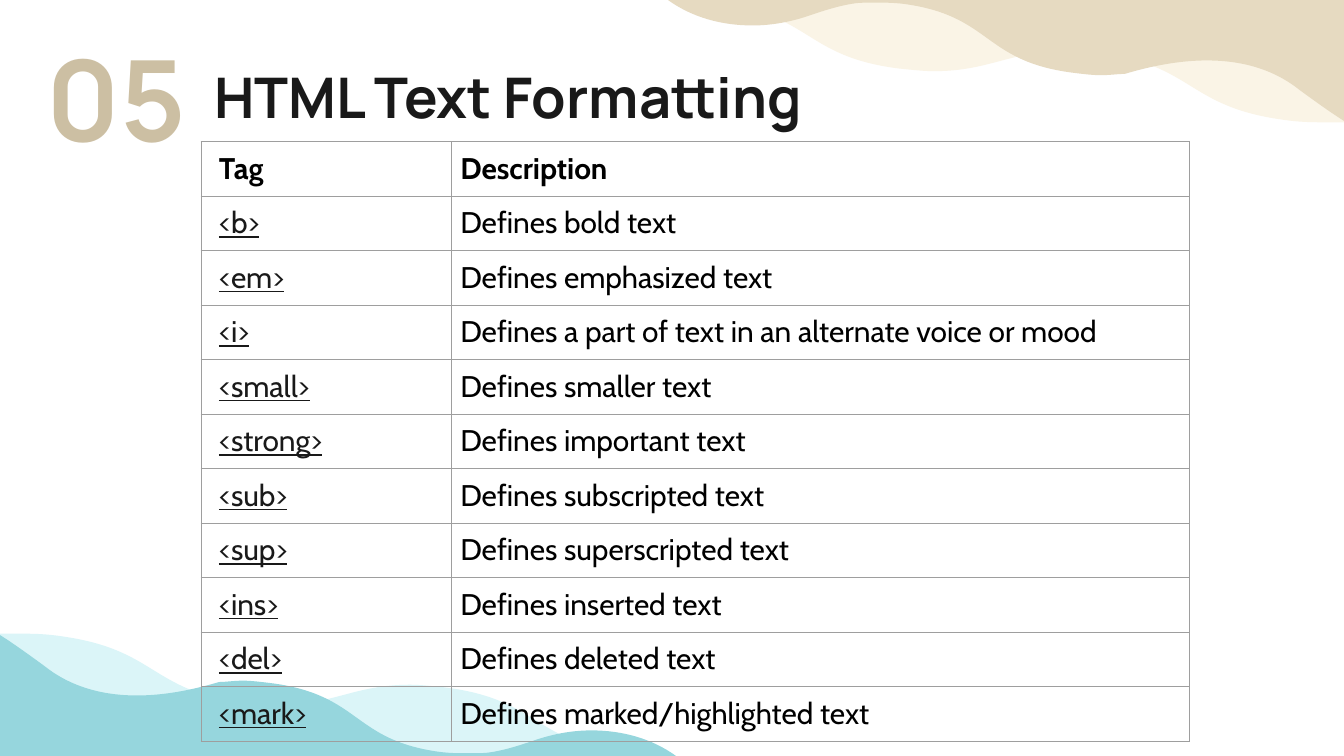
from lxml.etree import SubElement
from pptx import Presentation
from pptx.dml.color import RGBColor
from pptx.enum.text import MSO_ANCHOR, MSO_AUTO_SIZE, PP_ALIGN
from pptx.oxml.ns import qn
from pptx.util import Pt


def color(hex_string):
    return RGBColor.from_string(hex_string)


def write(text_frame, text, font_name, size, hex_string, bold=False, underline=False):
    paragraph = text_frame.paragraphs[0]
    run = paragraph.add_run()
    run.text = text
    run.font.name = font_name
    run.font.size = Pt(size)
    run.font.bold = bold
    run.font.underline = underline
    run.font.color.rgb = color(hex_string)
    return paragraph


WIDTH, HEIGHT = 720, 405
presentation = Presentation()
presentation.slide_width = Pt(WIDTH)
presentation.slide_height = Pt(HEIGHT)
slide = presentation.slides.add_slide(presentation.slide_layouts[5])
slide.background.fill.solid()
slide.background.fill.fore_color.rgb = color("FFFFFF")

back_wave = [
    (5.61, -0.9),
    (6.24, -0.79, 6.21, -0.51, 6.89, -0.42),
    (6.99, -0.4, 7.08, -0.4, 7.15, -0.4),
    (7.56, -0.4, 7.72, -0.55, 8.12, -0.55),
    (8.2, -0.55, 8.29, -0.55, 8.38, -0.54),
    (9.1, -0.44, 9.03, -0.13, 9.74, -0.04),
    (9.82, -0.03, 9.89, -0.03, 9.96, -0.03),
    (9.97, -0.03, 9.99, -0.03, 10, -0.03),
    (10, 0.91),
    (9.96, 0.91, 9.91, 0.91, 9.86, 0.91),
    (9.77, 0.91, 9.67, 0.91, 9.54, 0.89),
    (8.83, 0.79, 8.89, 0.49, 8.18, 0.39),
    (8.09, 0.38, 8, 0.38, 7.92, 0.38),
    (7.52, 0.38, 7.36, 0.53, 6.95, 0.53),
    (6.87, 0.53, 6.79, 0.52, 6.69, 0.51),
    (5.98, 0.42, 6.05, 0.11, 5.33, 0.02),
    (5.26, 0.01, 5.18, 0, 5.12, 0),
    (5.08, 0, 5.04, 0, 5, 0.01),
    (5, -0.9),
]
front_wave = [
    (10, 0),
    (10, 0.9),
    (9.89, 0.83, 9.78, 0.75, 9.67, 0.67),
    (9.47, 0.51, 9.23, 0.45, 8.98, 0.45),
    (8.78, 0.45, 8.57, 0.49, 8.37, 0.55),
    (8.32, 0.55, 8.26, 0.56, 8.19, 0.56),
    (8.13, 0.56, 8.05, 0.55, 7.97, 0.54),
    (7.31, 0.45, 7.38, 0.12, 6.73, 0.03),
    (6.65, 0.02, 6.58, 0.02, 6.51, 0.02),
    (6.44, 0.02, 6.38, 0.02, 6.33, 0.03),
    (6.22, 0.05, 6.13, 0.08, 6.04, 0.11),
    (5.9, 0.16, 5.75, 0.19, 5.6, 0.19),
    (5.37, 0.19, 5.15, 0.13, 4.97, 0),
]
waves = [
    (back_wave, "DBF5F8", True),
    (front_wave, "96D6DD", True),
    (back_wave, "FAF4E6", False),
    (front_wave, "E6DAC1", False),
]
for segments, fill_color, rotated in waves:
    points = [
        (segment[index] * 72, segment[index + 1] * 72)
        for segment in segments
        for index in range(0, len(segment), 2)
    ]
    if rotated:
        points = [(WIDTH - x, HEIGHT - y) for x, y in points]
    vertices = [(Pt(x), Pt(y)) for x, y in points]
    builder = slide.shapes.build_freeform(*vertices[0], scale=1.0)
    builder.add_line_segments(vertices[1:], close=True)
    wave = builder.convert_to_shape()
    lines = iter(list(wave._element.iter(qn("a:lnTo"))))
    for segment in segments[1:]:
        line = next(lines)
        if len(segment) == 6:
            curve = line.makeelement(qn("a:cubicBezTo"))
            line.addprevious(curve)
            for control in (line, next(lines), next(lines)):
                curve.append(control[0])
                control.getparent().remove(control)
    wave.shadow.inherit = False
    wave.fill.solid()
    wave.fill.fore_color.rgb = color(fill_color)
    wave.line.fill.background()

title = slide.shapes.title
title.left, title.top, title.width, title.height = Pt(107.7), Pt(36.3), Pt(343.4), Pt(30.2)
number = slide.shapes.add_textbox(Pt(17), Pt(27.7), Pt(90.7), Pt(48.2))
headings = [
    (title, "HTML Text Formatting", 30, "191919", PP_ALIGN.LEFT),
    (number, "05", 60, "CCBFA3", PP_ALIGN.CENTER),
]
for shape, text, size, text_color, alignment in headings:
    frame = shape.text_frame
    frame.word_wrap = True
    frame.auto_size = MSO_AUTO_SIZE.NONE
    frame.vertical_anchor = MSO_ANCHOR.MIDDLE
    frame.margin_left = frame.margin_right = frame.margin_top = frame.margin_bottom = Pt(7.2)
    write(frame, text, "Manrope", size, text_color, bold=True).alignment = alignment

rows = [
    ("Tag", "Description"),
    ("<b>", "Defines bold text"),
    ("<em>", "Defines emphasized text\u00a0"),
    ("<i>", "Defines a part of text in an alternate voice or mood"),
    ("<small>", "Defines smaller text"),
    ("<strong>", "Defines important text"),
    ("<sub>", "Defines subscripted text"),
    ("<sup>", "Defines superscripted text"),
    ("<ins>", "Defines inserted text"),
    ("<del>", "Defines deleted text"),
    ("<mark>", "Defines marked/highlighted text"),
]
ROW_HEIGHT = 29.2
table = slide.shapes.add_table(
    len(rows), 2, Pt(107.8), Pt(76), Pt(529.6), Pt(ROW_HEIGHT * len(rows))
).table
table.first_row = False
table.horz_banding = False
table.columns[0].width = Pt(134)
table.columns[1].width = Pt(395.6)
for row_index, texts in enumerate(rows):
    table.rows[row_index].height = Pt(ROW_HEIGHT)
    header = row_index == 0
    for column_index, text in enumerate(texts):
        cell = table.cell(row_index, column_index)
        cell.margin_left = Pt(9.5 if column_index == 0 else 4.8)
        cell.margin_right = cell.margin_top = cell.margin_bottom = Pt(4.8)
        tag = column_index == 0 and not header
        write(cell.text_frame, text, "Cabin", 16, "191919" if tag else "000000", header, tag)
        properties = cell._tc.get_or_add_tcPr()
        for side in ("a:lnL", "a:lnR", "a:lnT", "a:lnB"):
            border = SubElement(properties, qn(side), w=str(Pt(0.75)))
            border_fill = SubElement(border, qn("a:solidFill"))
            SubElement(border_fill, qn("a:srgbClr"), val="9E9E9E")
        cell.fill.background()

presentation.save("out.pptx")
